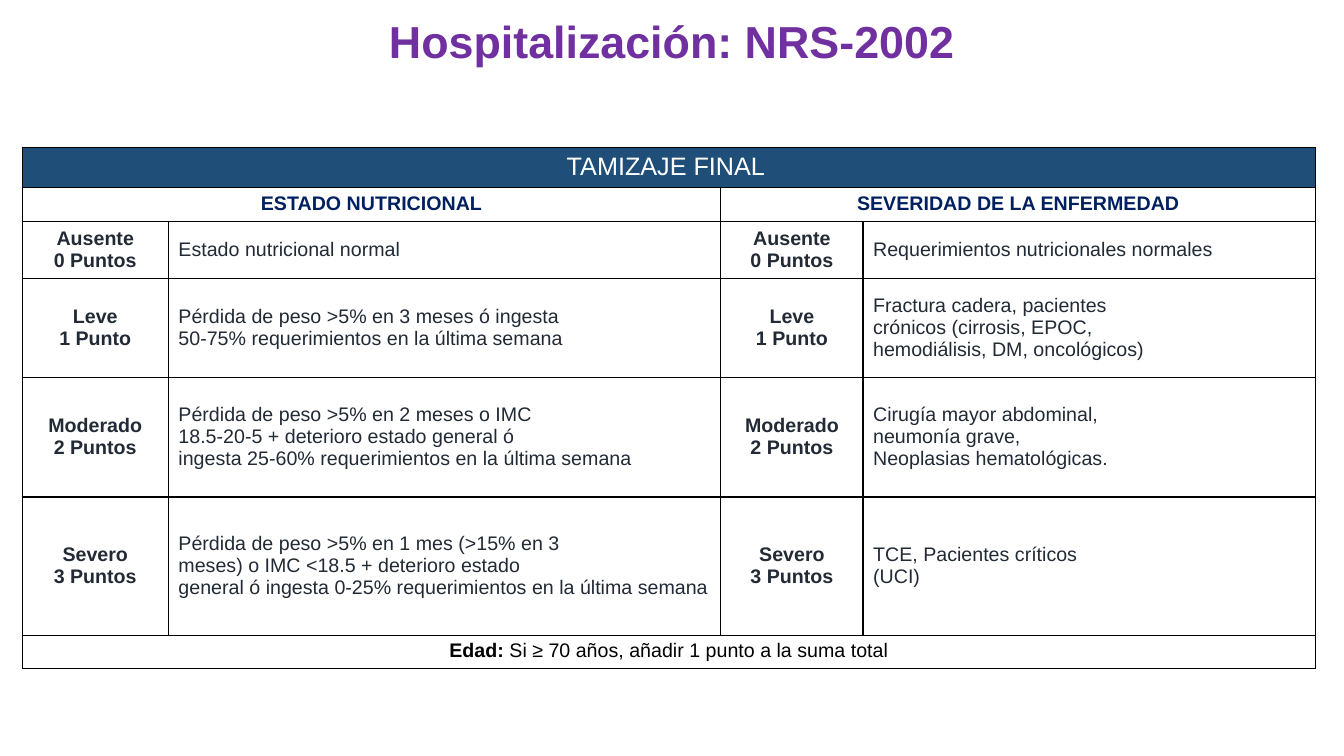
from dataclasses import dataclass

from lxml import etree
from pptx import Presentation
from pptx import util as u
from pptx.dml.color import RGBColor
from pptx.enum import text
from pptx.oxml import ns
from pptx.table import _Cell as Cell

PX = 9144  # EMU per px, at 100 px to the inch


@dataclass(frozen=True)
class Theme:
    font: str = "Arial"
    title: str = "7030A0"
    banner: str = "1F4E79"
    heading: str = "002060"
    body: str = "222A35"
    black: str = "000000"
    white: str = "FFFFFF"
    title_size: int = 32
    banner_size: int = 18
    body_size: int = 14
    border_width: int = 1


@dataclass(frozen=True)
class Style:
    color: str
    size: int = Theme.body_size
    bold: bool = False
    align: text.PP_ALIGN = text.PP_ALIGN.CENTER
    anchor: text.MSO_ANCHOR = text.MSO_ANCHOR.TOP
    fill: str = Theme.white


@dataclass(frozen=True)
class Grade:
    """One severity level: its score, and the criteria for each half of the table."""
    score: str
    nutrition: str
    disease: str
    align: text.PP_ALIGN = text.PP_ALIGN.LEFT


THEME = Theme()
TITLE = Style(THEME.title, THEME.title_size, bold=True)
BANNER = Style(THEME.white, THEME.banner_size, fill=THEME.banner)
HEADING = Style(THEME.heading, bold=True)
SCORE = Style(THEME.body, bold=True, anchor=text.MSO_ANCHOR.MIDDLE)
FOOTER = Style(THEME.black)

COLUMN_WIDTHS = (145, 548, 141, 449)
ROW_HEIGHTS = (38, 32, 54, 98, 119, 137, 32)
GRADES = (
    Grade("Ausente\n0 Puntos", "Estado nutricional normal",
          "Requerimientos nutricionales normales", text.PP_ALIGN.JUSTIFY),
    Grade("Leve\n1 Punto",
          "Pérdida de peso >5% en 3 meses ó ingesta\n"
          "50-75% requerimientos en la última semana",
          "Fractura cadera, pacientes\ncrónicos (cirrosis, EPOC,\n"
          "hemodiálisis, DM, oncológicos)"),
    Grade("Moderado\n2 Puntos",
          "Pérdida de peso >5% en 2 meses o IMC\n"
          "18.5-20-5 + deterioro estado general ó\n"
          "ingesta 25-60% requerimientos en la última semana",
          "Cirugía mayor abdominal,\nneumonía grave,\nNeoplasias hematológicas."),
    Grade("Severo\n3 Puntos",
          "Pérdida de peso >5% en 1 mes (>15% en 3\n"
          "meses) o IMC <18.5 + deterioro estado\n"
          "general ó ingesta 0-25% requerimientos en la última semana",
          "TCE, Pacientes críticos\n(UCI)"),
)


def px(length: int) -> u.Emu:
    return u.Emu(length * PX)


def write(frame, words: str, style: Style) -> None:
    """Fill a text frame, one paragraph per line of words."""
    frame.text = words
    for para in frame.paragraphs:
        para.alignment = style.align
        para.font.name = THEME.font
        para.font.size = u.Pt(style.size)
        para.font.bold = style.bold
        para.font.color.rgb = RGBColor.from_string(style.color)


def draw_borders(cell: Cell) -> None:
    properties = cell._tc.get_or_add_tcPr()
    for index, side in enumerate(("a:lnL", "a:lnR", "a:lnT", "a:lnB")):
        line = etree.Element(ns.qn(side), w=str(u.Pt(THEME.border_width)))
        fill = etree.SubElement(line, ns.qn("a:solidFill"))
        etree.SubElement(fill, ns.qn("a:srgbClr"), val=THEME.black)
        properties.insert(index, line)


def fill_cell(cell: Cell, words: str, style: Style) -> None:
    write(cell.text_frame, words, style)
    cell.vertical_anchor = style.anchor
    cell.fill.solid()
    cell.fill.fore_color.rgb = RGBColor.from_string(style.fill)


def add_title(page, words: str) -> None:
    box = page.shapes.add_textbox(0, 0, px(1333), px(88))
    box.text_frame.word_wrap = True
    box.text_frame.vertical_anchor = text.MSO_ANCHOR.MIDDLE
    write(box.text_frame, words, TITLE)
    box.text_frame.paragraphs[0].line_spacing = 0.9


def add_screening_table(page) -> None:
    table = page.shapes.add_table(
        len(ROW_HEIGHTS), len(COLUMN_WIDTHS), px(22), px(146),
        px(sum(COLUMN_WIDTHS)), px(sum(ROW_HEIGHTS))).table
    table.first_row = table.horz_banding = False
    for column, width in zip(table.columns, COLUMN_WIDTHS):
        column.width = px(width)
    for row, height in zip(table.rows, ROW_HEIGHTS):
        row.height = px(height)

    last = len(ROW_HEIGHTS) - 1
    for row, first, end in ((0, 0, 3), (1, 0, 1), (1, 2, 3), (last, 0, 3)):
        table.cell(row, first).merge(table.cell(row, end))

    fill_cell(table.cell(0, 0), "TAMIZAJE FINAL ", BANNER)
    fill_cell(table.cell(1, 0), "ESTADO NUTRICIONAL", HEADING)
    fill_cell(table.cell(1, 2), "SEVERIDAD DE LA ENFERMEDAD", HEADING)
    for row, grade in enumerate(GRADES, start=2):
        criteria = Style(THEME.body, align=grade.align,
                         anchor=text.MSO_ANCHOR.MIDDLE)
        for column, words in ((0, grade.nutrition), (2, grade.disease)):
            fill_cell(table.cell(row, column), grade.score, SCORE)
            fill_cell(table.cell(row, column + 1), words, criteria)

    footer = table.cell(last, 0)
    fill_cell(footer, "Edad: ", FOOTER)
    para = footer.text_frame.paragraphs[0]
    para.runs[0].font.bold = True
    para.add_run().text = "Si ≥ 70 años, añadir 1 punto a la suma total"

    for cell in table.iter_cells():
        draw_borders(cell)


def main() -> None:
    deck = Presentation()
    deck.slide_width, deck.slide_height = px(1333), px(750)
    page = deck.slides.add_slide(deck.slide_layouts[6])
    add_title(page, "Hospitalización: NRS-2002")
    add_screening_table(page)
    deck.save("out.pptx")


if __name__ == "__main__":
    main()
